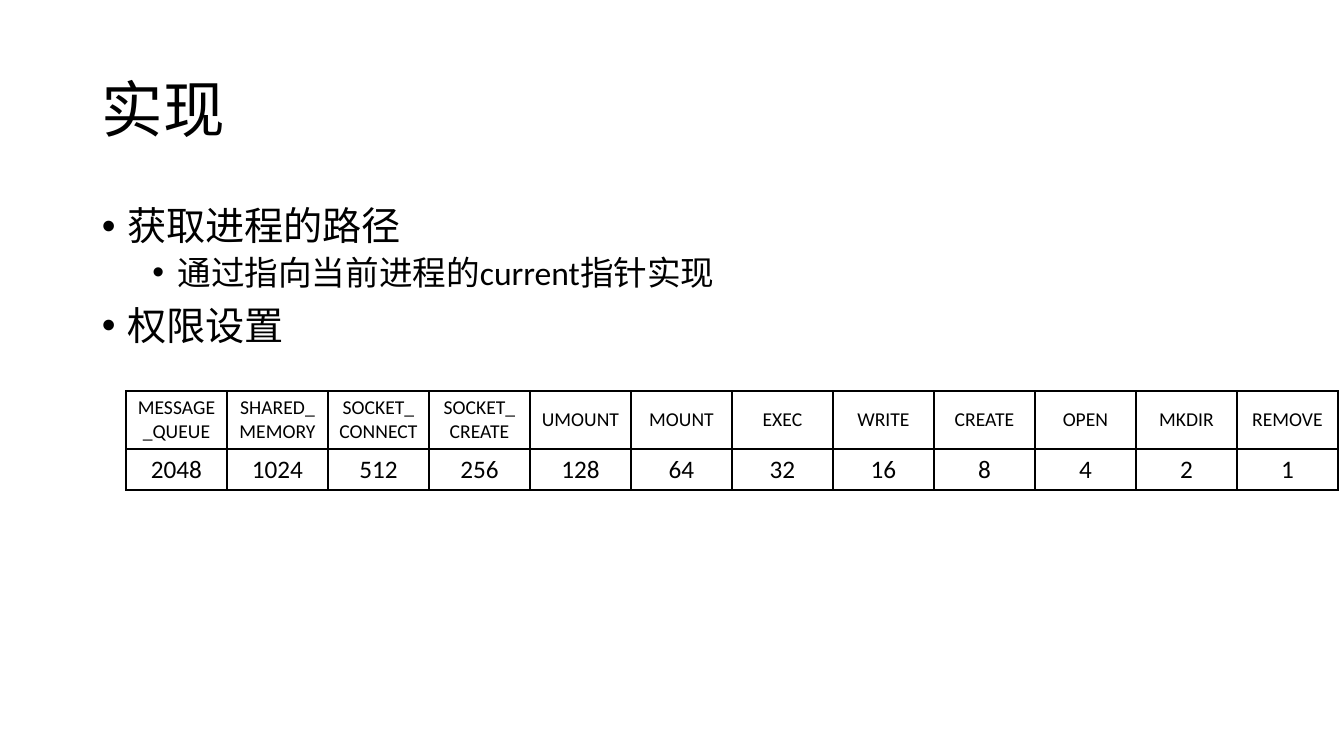
from lxml import etree
from pptx import Presentation
from pptx import util as u
from pptx.dml.color import RGBColor
from pptx.enum import text
from pptx.oxml import ns

SCALE = 914400 / 100.8  # EMU per pixel
BLACK = RGBColor(0, 0, 0)
FONT = "Calibri"


def px(length):
    return u.Emu(round(length * SCALE))


class Painter:
    """Holds the style and the current slide."""

    def __init__(self, slide, font, color):
        self.slide, self.font, self.color = slide, font, color

    def span(self, para, words, size):
        span = para.add_run()
        span.text = words
        span.font.size = u.Pt(size)
        span.font.name = self.font
        span.font.color.rgb = self.color

    def frame(self, left, top, width, height, anchor):
        box = self.slide.shapes.add_textbox(px(left), px(top), px(width), px(height))
        box.text_frame.word_wrap = True
        box.text_frame.vertical_anchor = anchor
        return box.text_frame

    def title(self, area, words, size):
        para = self.frame(*area, text.MSO_ANCHOR.MIDDLE).paragraphs[0]
        para.line_spacing = 0.9
        self.span(para, words, size)

    def bullets(self, area, items):
        frame = self.frame(*area, text.MSO_ANCHOR.TOP)
        for index, (level, words) in enumerate(items):
            para = frame.add_paragraph() if index else frame.paragraphs[0]
            para.level = level
            para.line_spacing = 0.9
            para.space_before = u.Pt(5 if level else 10)
            self.span(para, words, 28 - 4 * level)
            props = para._p.get_or_add_pPr()
            props.set("marL", str(u.Inches(0.25 + 0.5 * level)))
            props.set("indent", str(u.Inches(-0.25)))
            etree.SubElement(props, ns.qn("a:buFont")).set("typeface", "Arial")
            etree.SubElement(props, ns.qn("a:buChar")).set("char", "•")

    def borders(self, cell, points):
        props = cell._tc.get_or_add_tcPr()
        for index, side in enumerate("LRTB"):
            line = etree.Element(ns.qn(f"a:ln{side}"), w=str(u.Pt(points)))
            fill = etree.SubElement(line, ns.qn("a:solidFill"))
            etree.SubElement(fill, ns.qn("a:srgbClr")).set("val", str(self.color))
            props.insert(index, line)

    def table(self, left, top, column_width, heights, sizes, rows):
        count = len(rows[0])
        table = self.slide.shapes.add_table(
            len(rows), count, px(left), px(top),
            px(column_width * count), px(sum(heights))).table
        table.first_row = table.horz_banding = False
        for column in table.columns:
            column.width = px(column_width)
        for row, height, size, labels in zip(table.rows, heights, sizes, rows):
            row.height = px(height)
            for cell, words in zip(row.cells, labels):
                cell.fill.background()
                cell.vertical_anchor = text.MSO_ANCHOR.MIDDLE
                para = cell.text_frame.paragraphs[0]
                para.alignment = text.PP_ALIGN.CENTER
                self.span(para, words, size)
                self.borders(cell, 1)


deck = Presentation()
deck.slide_width, deck.slide_height = px(1344), px(756)
page = Painter(deck.slides.add_slide(deck.slide_layouts[6]), FONT, BLACK)

# Title and outline
page.title((92, 40, 1159, 146), "实现", 44)
page.bullets((92, 202, 1252, 532), [
    (0, "获取进程的路径"),
    (1, "通过指向当前进程的current指针实现"),
    (0, "权限设置"),
])

# Permission bits, highest first
permissions = ["MESSAGE_QUEUE", "SHARED_MEMORY", "SOCKET_CONNECT", "SOCKET_CREATE",
               "UMOUNT", "MOUNT", "EXEC", "WRITE", "CREATE", "OPEN", "MKDIR", "REMOVE"]
bits = [str(2 ** power) for power in reversed(range(len(permissions)))]
page.table(126, 391, 101, (58, 41), (14, 18), [permissions, bits])

deck.save("out.pptx")
